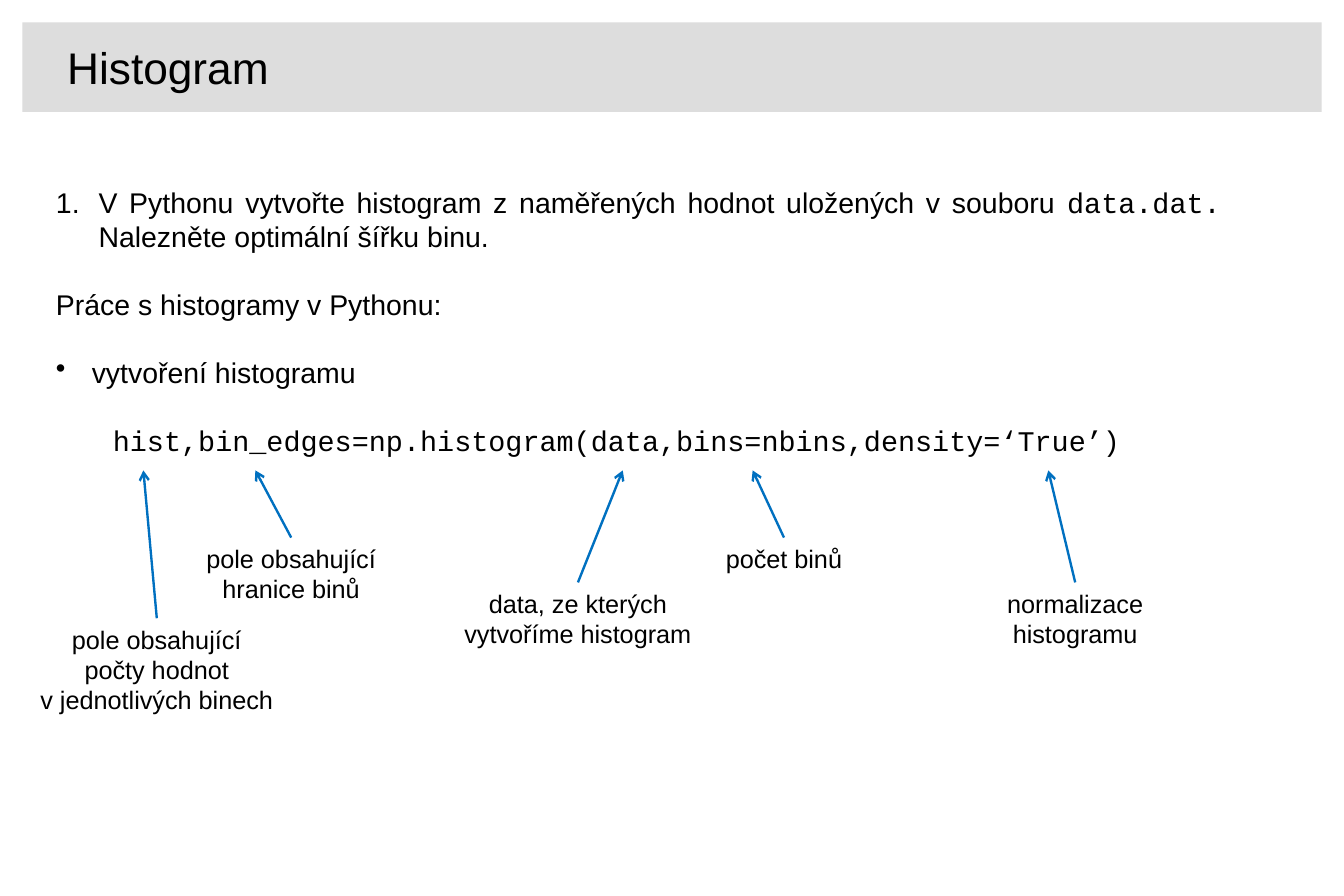
from lxml.etree import SubElement
from pptx import Presentation
from pptx.dml.color import RGBColor
from pptx.enum.shapes import MSO_CONNECTOR as Connector
from pptx.enum.text import MSO_ANCHOR as Anchor, MSO_AUTO_SIZE as AutoSize, PP_ALIGN as Align
from pptx.oxml.ns import qn
from pptx.util import Cm, Pt

SANS, MONO = "Arial", "Courier New"
BLACK, GREY, BLUE = "000000", "DDDDDD", "0070C0"
ARROW_TIP_Y = 10.5
PARAGRAPH_GAP = 21.5

TASK = [
    ("V Pythonu vytvořte histogram z naměřených hodnot uložených v souboru ", SANS),
    ("data.dat.", MONO),
    (" Nalezněte optimální šířku binu.", SANS),
]
CODE = "hist,bin_edges=np.histogram(data,bins=nbins,density=‘True’)"
NUMBER = ("a:buAutoNum", {"type": "arabicPeriod"})
BULLET = ("a:buChar", {"char": "•"})

# label text, left, top, width, height, x of the arrow tip
LABELS = [
    ("pole obsahující\npočty hodnot\nv jednotlivých binech", 0.5, 13.8, 6, 2.3, 3.2),
    ("pole obsahující\nhranice binů", 4, 12, 5, 1.62, 5.7),
    ("data, ze kterých vytvoříme histogram", 9.9, 13, 6, 1.62, 13.9),
    ("počet binů", 15.5, 12, 4, 0.94, 16.8),
    ("normalizace histogramu", 22, 13, 4, 1.62, 23.4),
]


def color(hex_code):
    """Turn a hex string into a colour."""
    return RGBColor.from_string(hex_code)


def style_run(run, size, face=SANS):
    """Set the size, typeface and colour of a run."""
    run.font.size = Pt(size)
    run.font.name = face
    run.font.color.rgb = color(BLACK)


def add_title(slide, text):
    """Turn the title placeholder into the grey heading bar."""
    title = slide.shapes.title
    title.left, title.top, title.width, title.height = Cm(0.5), Cm(0.5), Cm(29), Cm(2)
    title.fill.solid()
    title.fill.fore_color.rgb = color(GREY)
    frame = title.text_frame
    frame.text = text
    frame.auto_size = AutoSize.NONE
    frame.vertical_anchor = Anchor.MIDDLE
    frame.margin_left = Cm(1)
    heading = frame.paragraphs[0]
    heading.alignment = Align.LEFT
    style_run(heading.runs[0], 28)


def add_text_box(slide, left, top, width, height):
    """Add an empty wrapping text box and return it."""
    box = slide.shapes.add_textbox(Cm(left), Cm(top), Cm(width), Cm(height))
    box.text_frame.word_wrap = True
    return box


def fill_paragraph(paragraph, pieces, indent=0, marker=None):
    """Write justified text pieces with an optional hanging list marker."""
    paragraph.alignment = Align.JUSTIFY
    properties = paragraph._p.get_or_add_pPr()
    properties.set("marL", str(Cm(indent)))
    if marker:
        tag, attributes = marker
        properties.set("indent", str(-Cm(indent)))
        SubElement(properties, qn(tag), attributes)
    for text, face in pieces:
        run = paragraph.add_run()
        run.text = text
        style_run(run, 18, face)


def add_body(slide):
    """Add the task, the introduction and the line of code."""
    frame = add_text_box(slide, 1, 4, 26.5, 6.4).text_frame
    fill_paragraph(frame.paragraphs[0], TASK, 0.95, NUMBER)
    for text, face, indent, marker in [
        ("Práce s histogramy v Pythonu:", SANS, 0, None),
        ("vytvoření histogramu", SANS, 0.8, BULLET),
        (CODE, MONO, 1.27, None),
    ]:
        paragraph = frame.add_paragraph()
        paragraph.space_before = Pt(PARAGRAPH_GAP)
        fill_paragraph(paragraph, [(text, face)], indent, marker)


def add_label(slide, text, left, top, width, height):
    """Add a centred explanation and return its box."""
    label = add_text_box(slide, left, top, width, height)
    label.text_frame.text = text
    for paragraph in label.text_frame.paragraphs:
        paragraph.alignment = Align.CENTER
        style_run(paragraph.runs[0], 16)
    return label


def add_arrow(slide, label, tip_x):
    """Draw an arrow from the top of a label up to the code."""
    tip = Cm(tip_x), Cm(ARROW_TIP_Y)
    arrow = slide.shapes.add_connector(Connector.STRAIGHT, label.left, label.top, *tip)
    arrow.begin_connect(label, 0)
    arrow.line.color.rgb = color(BLUE)
    arrow.line.width = Pt(1.5)
    SubElement(arrow.line._get_or_add_ln(), qn("a:tailEnd"), type="arrow")
    SubElement(arrow._element.spPr, qn("a:effectLst"))


def main():
    """Build and save the slide."""
    deck = Presentation()
    deck.slide_width, deck.slide_height = Cm(30), Cm(20)
    slide = deck.slides.add_slide(deck.slide_layouts[5])
    add_title(slide, "Histogram")
    add_body(slide)
    for text, left, top, width, height, tip_x in LABELS:
        label = add_label(slide, text, left, top, width, height)
        add_arrow(slide, label, tip_x)
    deck.save("out.pptx")


if __name__ == "__main__":
    main()
